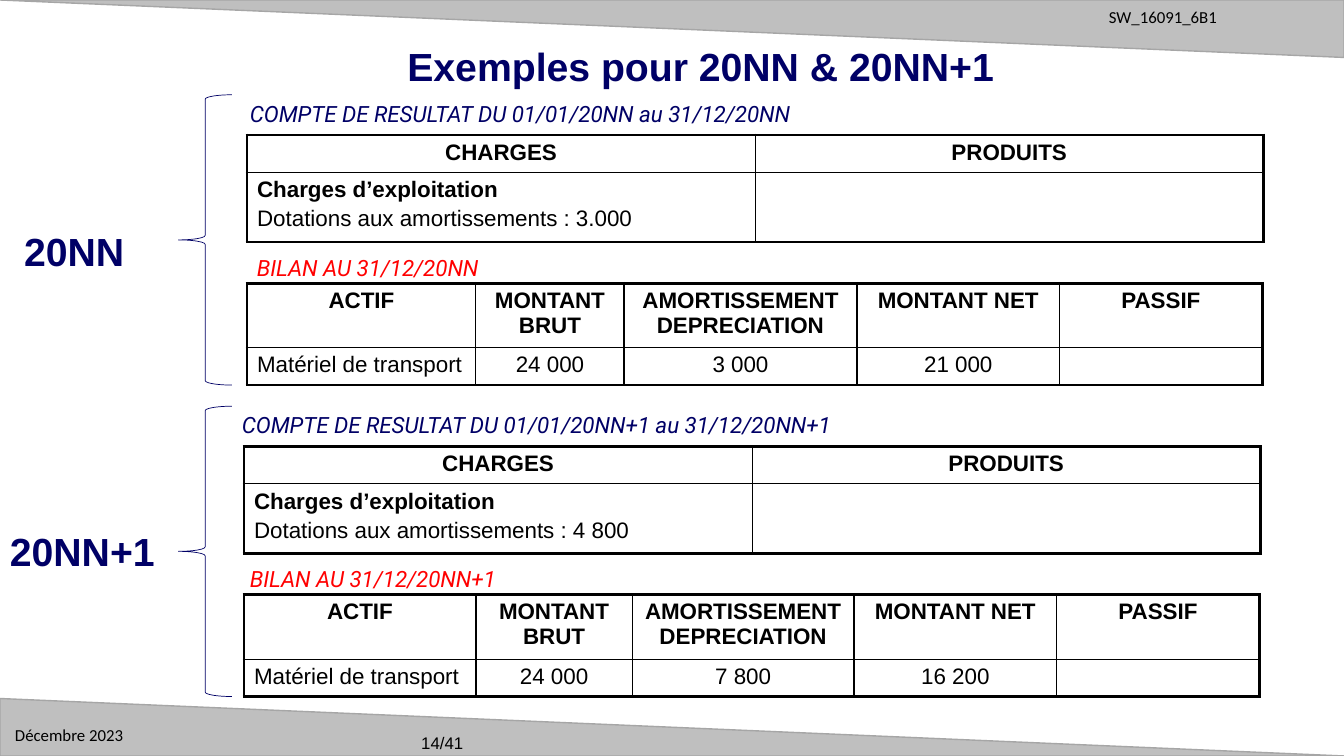
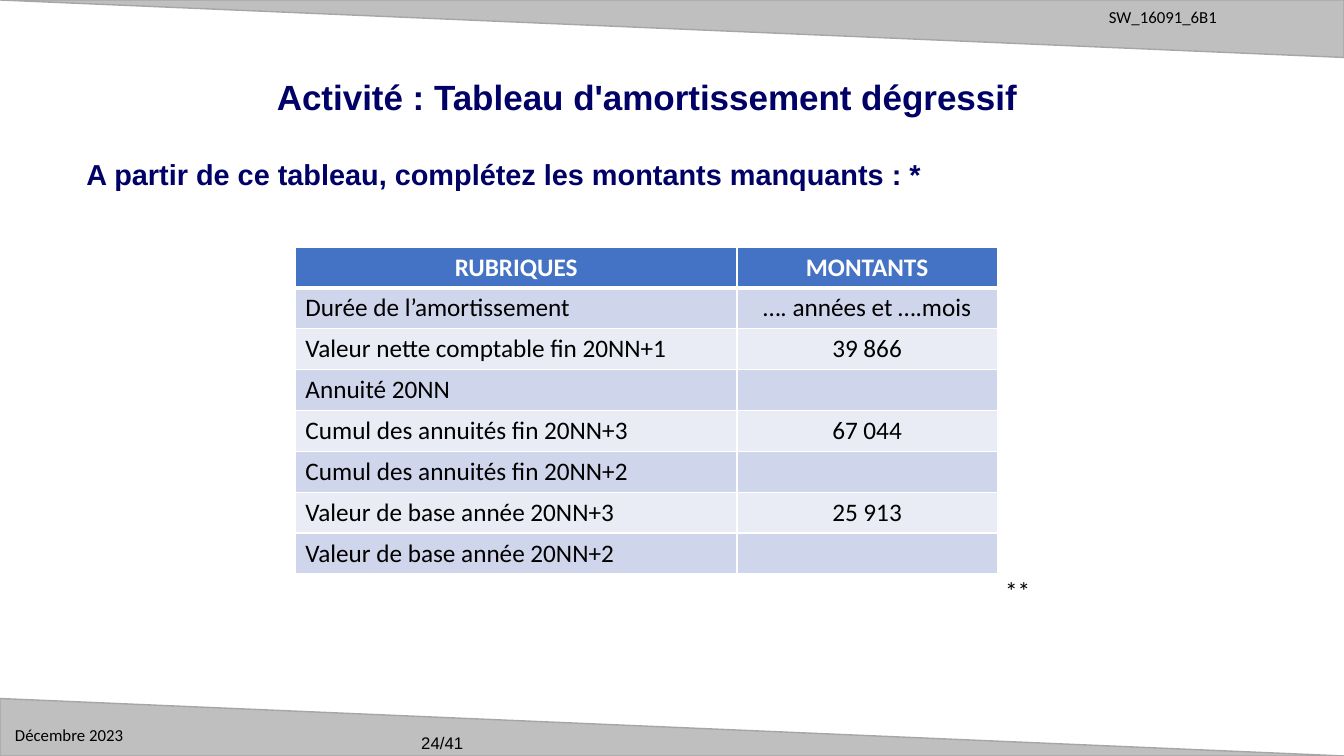
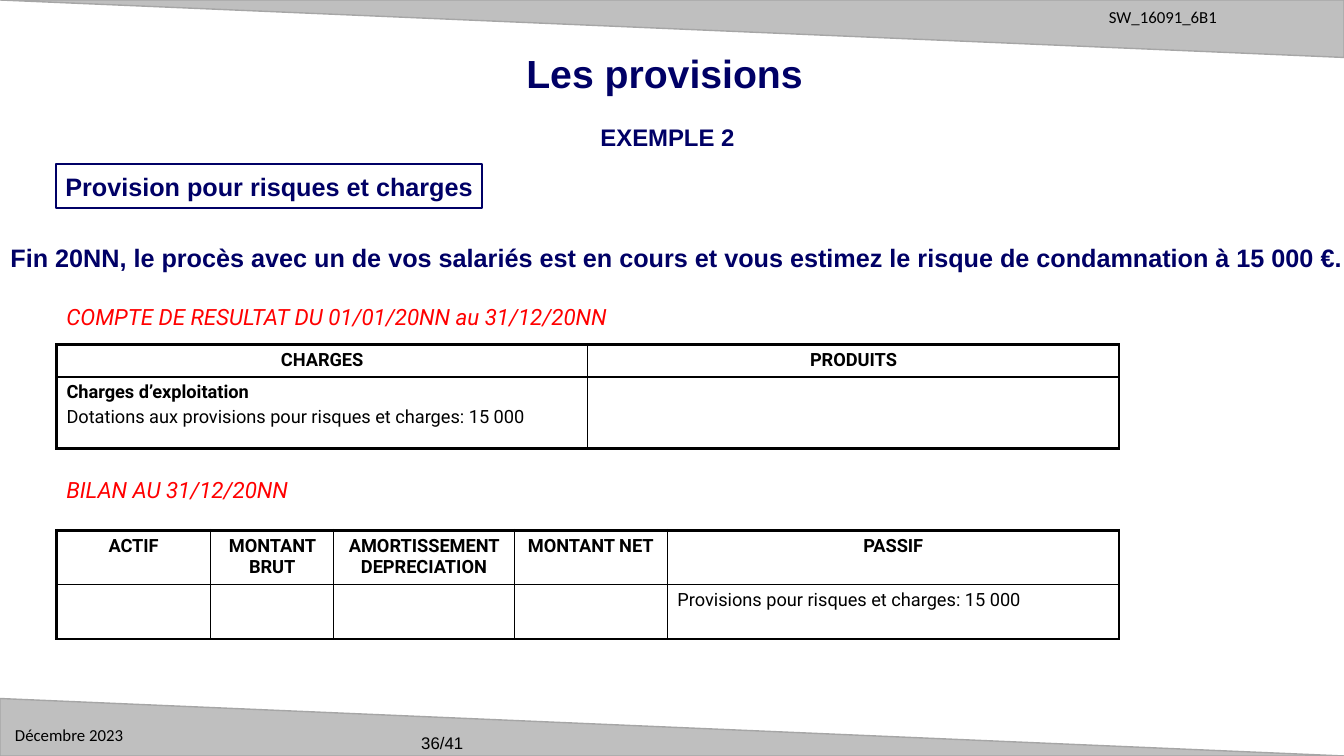
from lxml.etree import SubElement
from pptx import Presentation
from pptx.dml.color import RGBColor
from pptx.enum.shapes import MSO_SHAPE
from pptx.enum.text import MSO_ANCHOR, MSO_AUTO_SIZE, PP_ALIGN
from pptx.oxml import parse_xml
from pptx.oxml.ns import nsdecls, qn
from pptx.util import Inches, Pt

SLIDE_WIDTH, SLIDE_HEIGHT = 13.33, 7.5
BAND_HEIGHT = 0.076 * SLIDE_HEIGHT
BLOCK_TOP, BLOCK_PITCH = 0.94, 3.09

WHITE = RGBColor(0xFF, 0xFF, 0xFF)
BLACK = RGBColor(0, 0, 0)
NAVY = RGBColor(0, 0, 0x66)
RED = RGBColor(0xFF, 0, 0)
BAND_GREY = RGBColor(0xBF, 0xBF, 0xBF)
BAND_EDGE = RGBColor(0xA6, 0xA6, 0xA6)
HEADER_BLUE = RGBColor(0x44, 0x72, 0xC4)
DARK_STRIPE = RGBColor(0xCF, 0xD5, 0xEA)
LIGHT_STRIPE = RGBColor(0xE9, 0xEB, 0xF5)

COMPTE_HEADER = ["CHARGES", "PRODUITS"]
BILAN_HEADER = ["ACTIF", "MONTANT BRUT", "AMORTISSEMENT DEPRECIATION",
                "MONTANT NET", "PASSIF"]


def inches(lengths):
    return [Inches(length) for length in lengths]


def set_font(paragraph, size, color, face="Arial", bold=False, italic=False):
    font = paragraph.font
    font.size, font.name = Pt(size), face
    font.bold, font.italic = bold, italic
    font.color.rgb = color


def write(shape, text, size, color, align=PP_ALIGN.LEFT,
          anchor=MSO_ANCHOR.TOP, **style):
    frame = shape.text_frame
    frame.word_wrap = True
    frame.auto_size = MSO_AUTO_SIZE.NONE
    frame.vertical_anchor = anchor
    frame.text = text
    paragraph = frame.paragraphs[0]
    paragraph.alignment = align
    set_font(paragraph, size, color, **style)


def add_text(slide, box, text, size, color, **style):
    write(slide.shapes.add_textbox(*inches(box)), text, size, color, **style)


def add_outline(slide, preset, box, line_color, line_width, fill=None):
    shape = slide.shapes.add_shape(preset, *inches(box))
    shape.shadow.inherit = False
    if fill is None:
        shape.fill.background()
    else:
        shape.fill.solid()
        shape.fill.fore_color.rgb = fill
    shape.line.color.rgb = line_color
    shape.line.width = Pt(line_width)
    return shape


def add_caption(slide, box, text, color):
    add_text(slide, box, text, 16, color, face="Roboto", italic=True)


def clear_layout_footers(layout):
    for placeholder in list(layout.placeholders):
        if placeholder.placeholder_format.idx != 0:
            layout.shapes.element.remove(placeholder.element)


def furnish_layout(layout, slide):
    own_shapes = len(slide.shapes)
    for top, rotation in ((0, 180), (SLIDE_HEIGHT - BAND_HEIGHT, 0)):
        band = add_outline(slide, MSO_SHAPE.ISOSCELES_TRIANGLE,
                           (0, top, SLIDE_WIDTH, BAND_HEIGHT),
                           BAND_EDGE, 1, BAND_GREY)
        band.adjustments[0] = 0
        band.rotation = rotation
    add_text(slide, (10.9, 0.02, 2.39, 0.3), "SW_16091_6B1", 12, BLACK,
             face="Calibri")
    add_text(slide, (0.05, 7.14, 1.38, 0.3), "Décembre 2023", 12, BLACK,
             face="Calibri")
    for shape in list(slide.shapes)[own_shapes:]:
        layout.shapes.element.append(shape.element)


def start_slide(prs, layout, title, box, page, size=28, align=PP_ALIGN.LEFT):
    slide = prs.slides.add_slide(layout)
    if len(prs.slides) == 1:
        furnish_layout(layout, slide)
    heading = slide.shapes.title
    heading.left, heading.top, heading.width, heading.height = inches(box)
    write(heading, title, size, NAVY, align=align,
          anchor=MSO_ANCHOR.MIDDLE, bold=True)
    add_text(slide, (4.08, 7.22, 3.33, 0.3), f"{page}/41", 12, BLACK,
             anchor=MSO_ANCHOR.MIDDLE)
    return slide


def set_borders(cell, color, left, right, top, bottom):
    properties = cell._tc.get_or_add_tcPr()
    widths = {"lnL": left, "lnR": right, "lnT": top, "lnB": bottom}
    for position, (tag, width) in enumerate(widths.items()):
        properties.insert(position, parse_xml(
            f'<a:{tag} {nsdecls("a")} w="{Pt(width)}"><a:solidFill>'
            f'<a:srgbClr val="{color}"/></a:solidFill></a:{tag}>'))


def fill_cell(cell, text, size, color, face, bold, align):
    cell.text = text
    paragraphs = cell.text_frame.paragraphs
    for number, paragraph in enumerate(paragraphs):
        paragraph.alignment = align
        opens_pair = number == 0 and len(paragraphs) > 1
        set_font(paragraph, size, color, face, bold or opens_pair)
        if number:
            paragraph.space_before = Pt(size * 0.2)
        if not text:
            SubElement(paragraph._p, qn("a:endParaRPr"), sz=str(size * 100))


def add_grid(slide, left, top, columns, heights, rows, size, face,
             left_columns=(0,), rule_color=BLACK, outer=2.25, header_rule=1,
             header_color=BLACK, header_fill=WHITE, stripes=(WHITE,),
             anchor=MSO_ANCHOR.TOP):
    table = slide.shapes.add_table(
        len(rows), len(columns),
        *inches((left, top, sum(columns), sum(heights)))).table
    table.horz_banding = False
    for column, width in zip(table.columns, columns):
        column.width = Inches(width)
    for row, height in zip(table.rows, heights):
        row.height = Inches(height)
    last_row, last_column = len(rows) - 1, len(columns) - 1
    horizontal = [outer, header_rule] + [1] * (last_row - 1) + [outer]
    vertical = [outer] + [1] * last_column + [outer]
    for r, texts in enumerate(rows):
        for c, text in enumerate(texts):
            header = r == 0
            centred = header or c not in left_columns
            cell = table.cell(r, c)
            fill_cell(cell, text, size, header_color if header else BLACK,
                      face, header,
                      PP_ALIGN.CENTER if centred else PP_ALIGN.LEFT)
            cell.vertical_anchor = anchor
            cell.fill.solid()
            cell.fill.fore_color.rgb = (
                header_fill if header else stripes[(r - 1) % len(stripes)])
            set_borders(cell, rule_color, vertical[c], vertical[c + 1],
                        horizontal[r], horizontal[r + 1])


def add_compte(slide, left, top, width, heights, charge, size, face):
    rows = [COMPTE_HEADER, ["Charges d’exploitation\n" + charge, ""]]
    add_grid(slide, left, top, [width / 2] * 2, heights, rows, size, face)


def add_bilan(slide, left, top, columns, heights, values, size, face):
    add_grid(slide, left, top, columns, heights, [BILAN_HEADER, values],
             size, face, left_columns=(0, 4))


def add_year(slide, index, year, label_box, left, caption_lefts, charge,
             columns, amounts):
    top = BLOCK_TOP + index * BLOCK_PITCH
    add_compte(slide, left, top + 0.4, 10.08, (0.37, 0.69),
               "Dotations aux amortissements : " + charge, 16, "Arial")
    add_caption(slide, (caption_lefts[0], top, 6.1, 0.37),
                f"COMPTE DE RESULTAT DU 01/01/{year} au 31/12/{year}", NAVY)
    add_bilan(slide, left, top + 1.87, columns, (0.64, 0.37),
              ["Matériel de transport", *amounts, ""], 16, "Arial")
    add_caption(slide, (caption_lefts[1], top + 1.53, 2.67, 0.37),
                f"BILAN AU 31/12/{year}", RED)
    add_outline(slide, MSO_SHAPE.LEFT_BRACE, (1.77, top, 0.53, 2.88),
                NAVY, 0.5)
    add_text(slide, label_box, year, 28, NAVY, bold=True)


def build_examples(prs, layout):
    slide = start_slide(prs, layout, "Exemples pour 20NN & 20NN+1",
                        (3.94, 0.36, 6.21, 0.58), 14)
    add_year(slide, 0, "20NN", (0.14, 2.21, 1.48, 0.57), 2.45, (2.38, 2.45),
             "3.000", (2.27, 1.47, 2.31, 2.01, 2.01),
             ["24 000", "3 000", "21 000"])
    add_year(slide, 1, "20NN+1", (0, 5.18, 1.74, 0.57), 2.42, (2.3, 2.38),
             "4 800", (2.3, 1.55, 2.2, 2.01, 2.01),
             ["24 000", "7 800", "16 200"])


def build_activity(prs, layout):
    slide = start_slide(prs, layout,
                        "Activité : Tableau d'amortissement dégressif",
                        (1.9, 0.7, 9.03, 0.52), 24, 25, PP_ALIGN.CENTER)
    add_text(slide, (0.76, 1.5, 9.84, 0.45),
             "A partir de ce tableau, complétez les montants manquants : *",
             20.6, NAVY, bold=True)
    rows = [
        ["RUBRIQUES", "MONTANTS"],
        ["Durée de l’amortissement", "…. années et ….mois"],
        ["Valeur nette comptable fin 20NN+1", "39 866"],
        ["Annuité 20NN", ""],
        ["Cumul des annuités fin 20NN+3", "67 044"],
        ["Cumul des annuités fin 20NN+2", ""],
        ["Valeur de base année 20NN+3", "25 913"],
        ["Valeur de base année 20NN+2", ""],
    ]
    add_grid(slide, 2.93, 2.45, (4.38, 2.58), [3.24 / len(rows)] * len(rows),
             rows, 18, "Calibri", rule_color=WHITE, outer=1, header_rule=3,
             header_color=WHITE, header_fill=HEADER_BLUE,
             stripes=(DARK_STRIPE, LIGHT_STRIPE), anchor=MSO_ANCHOR.MIDDLE)
    add_text(slide, (9.87, 5.66, 0.74, 0.4), "**", 18, BLACK, face="Calibri")


def build_provisions(prs, layout):
    left = 0.56
    slide = start_slide(prs, layout, "Les provisions",
                        (5.12, 0.43, 2.98, 0.58), 36)
    add_text(slide, (3.69, 1.16, 5.86, 0.39), "EXEMPLE 2", 17.1, NAVY,
             align=PP_ALIGN.CENTER, anchor=MSO_ANCHOR.MIDDLE, bold=True)
    topic = add_outline(slide, MSO_SHAPE.RECTANGLE, (left, 1.63, 4.22, 0.43),
                        NAVY, 1.5, WHITE)
    write(topic, "Provision pour risques et charges", 18, NAVY,
          align=PP_ALIGN.CENTER, anchor=MSO_ANCHOR.MIDDLE, bold=True)
    topic.text_frame.word_wrap = False
    add_text(slide, (0, 2.35, 13.42, 0.4),
             "Fin 20NN, le procès avec un de vos salariés est en cours et "
             "vous estimez le risque de condamnation à 15 000 €.",
             18, NAVY, align=PP_ALIGN.CENTER, bold=True)
    add_caption(slide, (left, 2.96, 5.63, 0.37),
                "COMPTE DE RESULTAT DU 01/01/20NN au 31/12/20NN", RED)
    add_compte(slide, left, 3.42, 10.54, (0.32, 0.71),
               "Dotations aux provisions pour risques et charges: 15 000",
               13, "Roboto")
    add_caption(slide, (left, 4.67, 2.43, 0.37), "BILAN AU 31/12/20NN", RED)
    add_bilan(slide, left, 5.26, (1.53, 1.22, 1.79, 1.52, 4.48),
              (0.54, 0.54),
              [""] * 4 + ["Provisions pour risques et charges: 15 000"],
              13, "Roboto")


def main():
    prs = Presentation()
    prs.slide_width, prs.slide_height = inches((SLIDE_WIDTH, SLIDE_HEIGHT))
    layout = prs.slide_layouts[5]
    clear_layout_footers(layout)
    build_examples(prs, layout)
    build_activity(prs, layout)
    build_provisions(prs, layout)
    prs.save("out.pptx")


if __name__ == "__main__":
    main()
